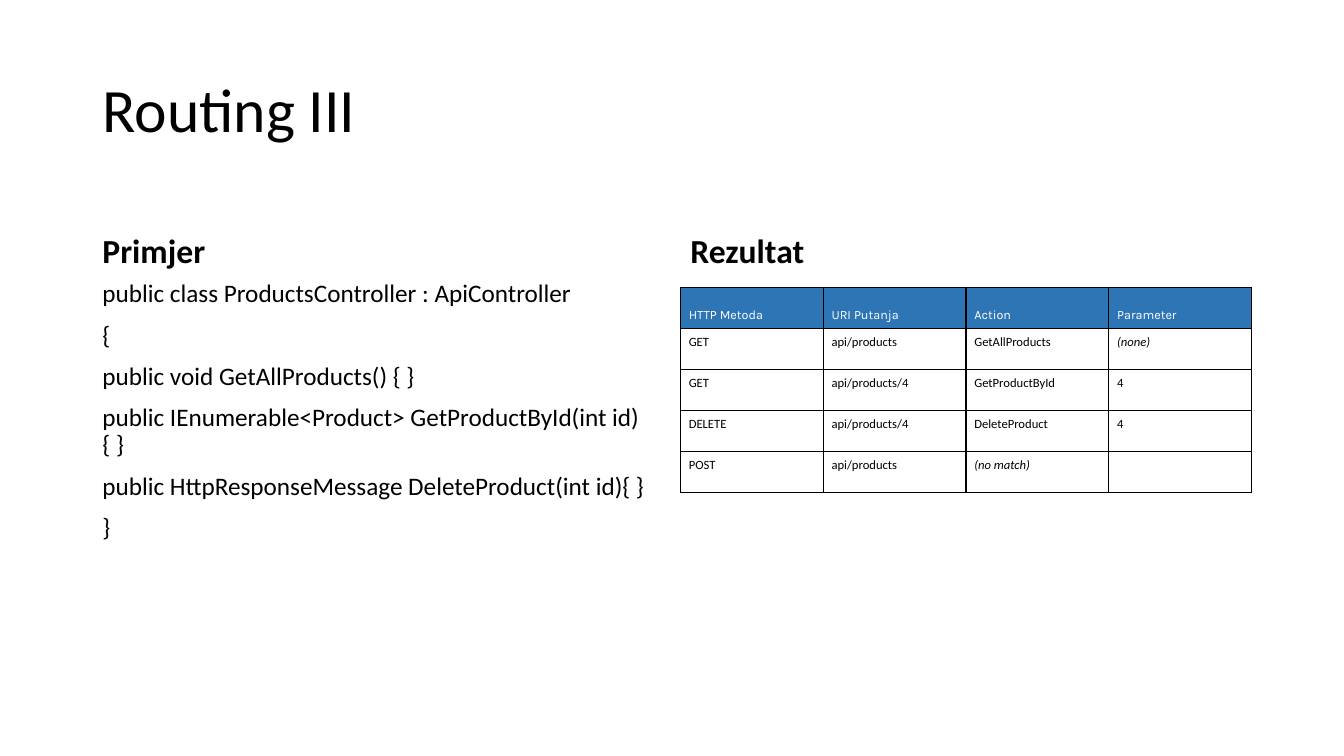
from pptx import Presentation
from pptx.dml.color import RGBColor
from pptx.enum import text as t
from pptx.oxml import parse_xml
from pptx.oxml.ns import nsdecls
from pptx.util import Pt

PX = 9525  # 96 px to the inch
BLACK = RGBColor(0x00, 0x00, 0x00)
WHITE = RGBColor(0xFF, 0xFF, 0xFF)
BLUE = RGBColor(0x2E, 0x75, 0xB6)

HEADER = ["HTTP Metoda", "URI Putanja", "Action", "Parameter"]
ROUTES = [
    ["GET", "api/products", "GetAllProducts", "(none)"],
    ["GET", "api/products/4", "GetProductById", "4"],
    ["DELETE", "api/products/4", "DeleteProduct", "4"],
    ["POST", "api/products", "(no match)", ""],
]
CODE = [
    "public class ProductsController : ApiController",
    "{",
    "public void GetAllProducts() { }",
    "public IEnumerable<Product> GetProductById(int id) { }",
    "public HttpResponseMessage DeleteProduct(int id){ }",
    "}",
]
COLUMN_WIDTH, ROW_HEIGHT = 136, 39


def write(para, words, size, font="Calibri", color=BLACK, bold=False, italic=False):
    para.alignment = t.PP_ALIGN.LEFT
    span = para.add_run()
    span.text = words
    span.font.size = Pt(size)
    span.font.name = font
    span.font.color.rgb = color
    span.font.bold = bold
    span.font.italic = italic


def add_border(cell):
    properties = cell._tc.get_or_add_tcPr()
    for place, side in enumerate(("lnL", "lnR", "lnT", "lnB")):
        properties.insert(place, parse_xml(
            f'<a:{side} {nsdecls("a")} w="12700"><a:solidFill>'
            f'<a:srgbClr val="{BLACK}"/></a:solidFill></a:{side}>'))


deck = Presentation()
deck.slide_width, deck.slide_height = 1280 * PX, 720 * PX
page = deck.slides.add_slide(deck.slide_layouts.get_by_name("Comparison"))
holders = {holder.placeholder_format.idx: holder for holder in page.placeholders}

# Title, column headings and code list
middle, bottom, top = t.MSO_ANCHOR.MIDDLE, t.MSO_ANCHOR.BOTTOM, t.MSO_ANCHOR.TOP
for idx, bounds, anchor, lines, size, bold, gap in [
    (0, (88, 38, 1104, 139), middle, ["Routing III"], 44, False, 0),
    (1, (88, 177, 541, 86), bottom, ["Primjer"], 24, True, 10),
    (2, (88, 263, 541, 387), top, CODE, 18, False, 10),
    (3, (648, 177, 544, 86), bottom, ["Rezultat"], 24, True, 10),
]:
    box = holders[idx]
    box.left, box.top, box.width, box.height = [length * PX for length in bounds]
    frame = box.text_frame
    frame.auto_size = t.MSO_AUTO_SIZE.NONE
    frame.word_wrap = True
    frame.vertical_anchor = anchor
    for number, line in enumerate(lines):
        para = frame.add_paragraph() if number else frame.paragraphs[0]
        para.line_spacing = 0.9
        para.space_before = Pt(gap)
        write(para, line, size, bold=bold)
        properties = para._p.get_or_add_pPr()
        properties.set("marL", "0")
        properties.set("indent", "0")
        properties.append(parse_xml(f'<a:buNone {nsdecls("a")}/>'))

unused = holders[4]._element
unused.getparent().remove(unused)

# Routing table
rows = [HEADER] + ROUTES
table = page.shapes.add_table(
    len(rows), len(HEADER), 648 * PX, 274 * PX,
    len(HEADER) * COLUMN_WIDTH * PX, len(rows) * ROW_HEIGHT * PX).table
table.first_row = table.horz_banding = False
for row, values in enumerate(rows):
    table.rows[row].height = ROW_HEIGHT * PX
    is_header = row == 0
    for column, value in enumerate(values):
        cell = table.cell(row, column)
        cell.margin_left = cell.margin_right = 8 * PX
        cell.margin_top = cell.margin_bottom = 6 * PX
        cell.vertical_anchor = bottom if is_header else top
        cell.fill.solid()
        cell.fill.fore_color.rgb = BLUE if is_header else WHITE
        add_border(cell)
        write(cell.text_frame.paragraphs[0], value, 9,
              font="Karla" if is_header else "Calibri",
              color=WHITE if is_header else BLACK,
              italic=value.startswith("("))

deck.save("out.pptx")
